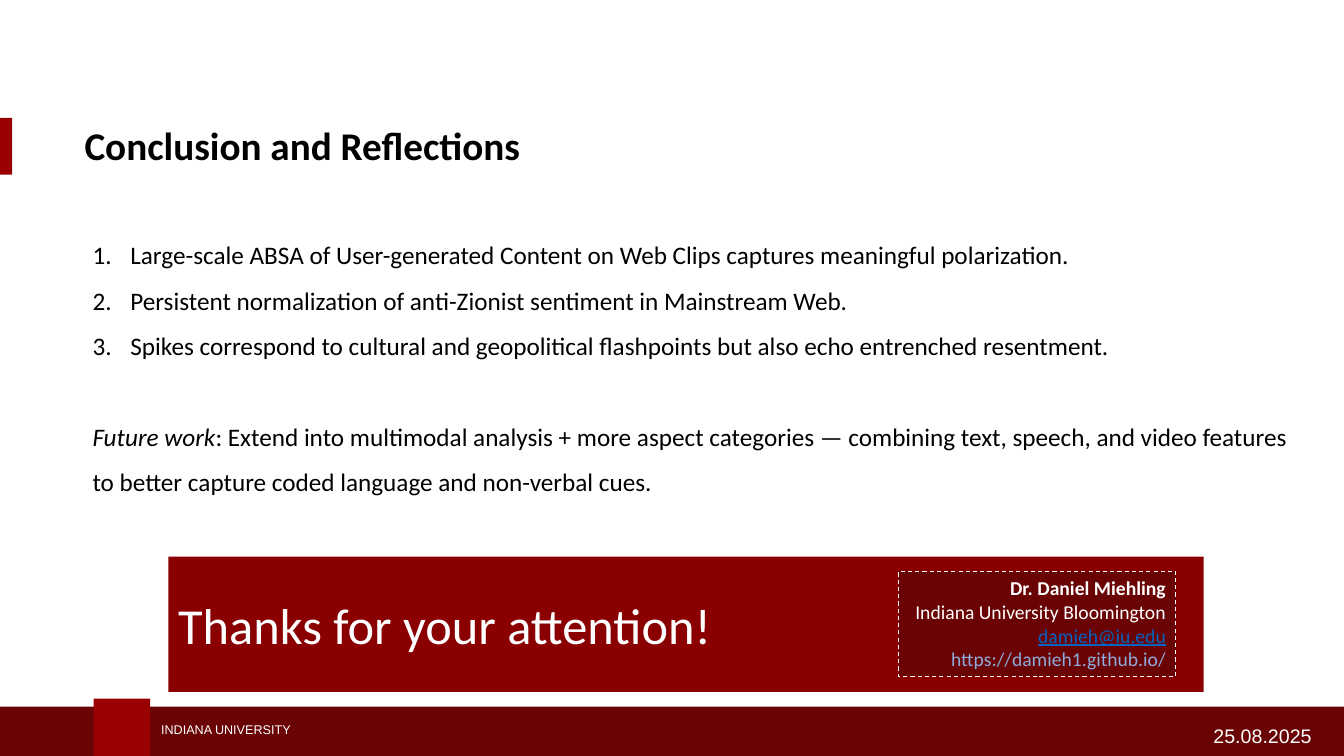
from lxml import etree
from pptx import Presentation
from pptx.dml.color import RGBColor
from pptx.enum.dml import MSO_LINE
from pptx.enum.shapes import MSO_SHAPE
from pptx.enum.text import MSO_ANCHOR, PP_ALIGN
from pptx.oxml.ns import qn
from pptx.util import Pt

RECTANGLE = MSO_SHAPE.RECTANGLE
DASH = MSO_LINE.DASH
TOP, MIDDLE = MSO_ANCHOR.TOP, MSO_ANCHOR.MIDDLE
LEFT, RIGHT = PP_ALIGN.LEFT, PP_ALIGN.RIGHT

WHITE, BLACK = "FFFFFF", "000000"
CRIMSON, DARK_RED, BANNER_RED = "990000", "690304", "8A0000"

prs = Presentation()
prs.slide_width, prs.slide_height = Pt(960), Pt(540)
slide = prs.slides.add_slide(prs.slide_layouts[6])


def add_box(left, top, width, height, fill=None, anchor=MIDDLE):
    place = Pt(left), Pt(top), Pt(width), Pt(height)
    if fill:
        box = slide.shapes.add_shape(RECTANGLE, *place)
        box.shadow.inherit = False
        box.fill.solid()
        box.fill.fore_color.rgb = RGBColor.from_string(fill)
        box.line.fill.background()
    else:
        box = slide.shapes.add_textbox(*place)
    box.text_frame.word_wrap = True
    box.text_frame.vertical_anchor = anchor
    return box


def style(paragraph, size, color, name="Calibri", align=LEFT):
    paragraph.alignment = align
    paragraph.font.size = Pt(size)
    paragraph.font.name = name
    paragraph.font.color.rgb = RGBColor.from_string(color)


# Title with side accent
add_box(0, 84.24, 8.64, 40.5, CRIMSON)
title = add_box(53.28, 78.5, 840, 50.4).text_frame.paragraphs[0]
title.text = "Conclusion and Reflections"
style(title, 28, BLACK)
title.font.bold = True

# Footer
add_box(0, 504.8, 960, 35.2, DARK_RED)
add_box(66.8, 499, 40.4, 41, CRIMSON)
university = add_box(108, 512, 380, 18).text_frame.paragraphs[0]
university.text = "INDIANA UNIVERSITY"
style(university, 9, WHITE, "Arial")
date = add_box(859.7, 513.4, 100.3, 26.6, anchor=TOP).text_frame.paragraphs[0]
date.text = "25.08.2025"
style(date, 14, WHITE, "Arial")

# Thank-you banner
thanks = add_box(120.2, 397.6, 739.6, 96.6, BANNER_RED).text_frame.paragraphs[0]
thanks.text = "Thanks for your attention!"
style(thanks, 36, WHITE)

# Contact card
contact = add_box(642, 408.2, 198, 75, DARK_RED, TOP)
contact.line.color.rgb = RGBColor.from_string(WHITE)
contact.line.width = Pt(0.75)
contact.line.dash_style = DASH
contact_lines = [
    ("Dr. Daniel Miehling", WHITE, True, False),
    ("Indiana University Bloomington", WHITE, False, False),
    ("damieh@iu.edu", "0563C1", False, True),
    ("https://damieh1.github.io/", "8FAADC", False, False),
]
for i, (text, color, bold, underline) in enumerate(contact_lines):
    frame = contact.text_frame
    line = frame.add_paragraph() if i else frame.paragraphs[0]
    line.text = text
    style(line, 14, color, align=RIGHT)
    line.font.bold = bold
    line.font.underline = underline

# Numbered conclusions
conclusions = [
    "Large-scale ABSA of User-generated Content on Web Clips captures meaningful polarization.",
    "Persistent normalization of anti-Zionist sentiment in Mainstream Web.",
    "Spikes correspond to cultural and geopolitical flashpoints but also echo entrenched resentment.",
]
body = add_box(59, 157.7, 874, 200).text_frame
for i, text in enumerate(conclusions):
    conclusion = body.add_paragraph() if i else body.paragraphs[0]
    conclusion.text = text
    conclusion.line_spacing = 1.5
    properties = conclusion._p.get_or_add_pPr()
    properties.set("marL", str(Pt(27)))
    properties.set("indent", str(-Pt(27)))
    etree.SubElement(properties, qn("a:buAutoNum"), type="arabicPeriod")
    style(conclusion, 18, BLACK)

# Future work
future = body.add_paragraph()
future.line_spacing = 1.5
future.space_before = Pt(32.5)
label = future.add_run()
label.text = "Future work"
label.font.italic = True
future.add_run().text = (
    ": Extend into multimodal analysis + more aspect categories — combining text, "
    "speech, and video features to better capture coded language and non-verbal cues."
)
style(future, 18, BLACK)

prs.save("out.pptx")
